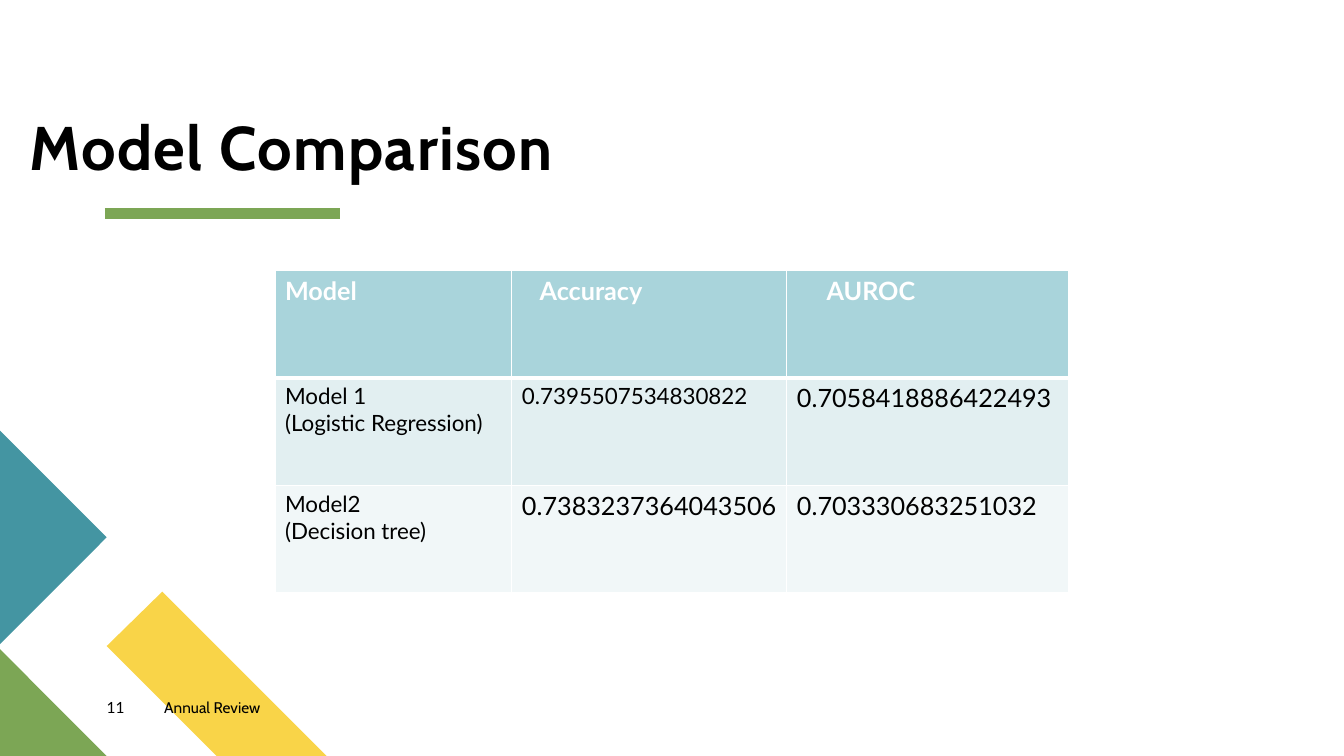
"""Build the Model Comparison slide with its results table."""
import lxml.etree
import pptx
import pptx.dml.color
import pptx.enum.shapes
import pptx.enum.text
import pptx.oxml.ns
import pptx.util

Cm = pptx.util.Cm
Pt = pptx.util.Pt
qn = pptx.oxml.ns.qn


def color(hex_string):
    return pptx.dml.color.RGBColor.from_string(hex_string)


def format_text(text_frame, size, font_name, font_color, bold=False):
    for paragraph in text_frame.paragraphs:
        for run in paragraph.runs:
            run.font.size = Pt(size)
            run.font.name = font_name
            run.font.bold = bold
            run.font.color.rgb = color(font_color)


presentation = pptx.Presentation()
presentation.slide_width = Cm(33.87)
presentation.slide_height = Cm(19.05)
slide = presentation.slides.add_slide(presentation.slide_layouts[6])

corner_shapes = [
    ("F9D448", [(8.23, 19.05), (5.46, 19.05), (2.69, 16.28), (4.09, 14.91)]),
    ("7CA655", [(2.69, 19.05), (0, 19.05), (0, 16.36)]),
    ("4495A2", [(0, 10.85), (2.69, 13.54), (0, 16.23)]),
]
for fill_color, points in corner_shapes:
    corners = [(Cm(x), Cm(y)) for x, y in points]
    builder = slide.shapes.build_freeform(*corners[0])
    builder.add_line_segments(corners[1:], close=True)
    shape = builder.convert_to_shape()
    shape.shadow.inherit = False
    shape.fill.solid()
    shape.fill.fore_color.rgb = color(fill_color)
    shape.line.fill.background()

underline = slide.shapes.add_connector(
    pptx.enum.shapes.MSO_CONNECTOR.STRAIGHT, Cm(2.64), Cm(5.38), Cm(8.58), Cm(5.38))
underline.line.color.rgb = color("7CA655")
underline.line.width = Pt(8)
lxml.etree.SubElement(underline._element.spPr, qn("a:effectLst"))

labels = [
    ("Model Comparison", 0.74, 2.92, 13.72, 1.7, 44, "Cabin"),
    ("Annual Review", 4.14, 17.58, 4.17, 0.69, 11, "Cabin"),
    ("11", 2.69, 17.58, 1.45, 0.69, 11, "Lato"),
]
for text, left, top, width, height, size, font_name in labels:
    text_box = slide.shapes.add_textbox(Cm(left), Cm(top), Cm(width), Cm(height))
    text_frame = text_box.text_frame
    text_frame.word_wrap = True
    text_frame.margin_left = text_frame.margin_right = 0
    text_frame.margin_top = text_frame.margin_bottom = 0
    text_frame.text = text
    is_title = size == 44
    format_text(text_frame, size, font_name, "000000", is_title)
    if is_title:
        text_frame.vertical_anchor = pptx.enum.text.MSO_ANCHOR.BOTTOM
        paragraph = text_frame.paragraphs[0]
        paragraph.line_spacing = 0.9
        paragraph.runs[0].font._element.set("spc", "100")

table_rows = [
    ("A9D4DB", "FFFFFF", [("Model", 18), ("Accuracy", 18), ("AUROC", 18)]),
    ("E2EFF1", "000000", [("Model 1\n(Logistic Regression)", 16),
                          ("0.7395507534830822", 16), ("0.7058418886422493", 18)]),
    ("F1F7F8", "000000", [("Model2\n(Decision tree)", 16),
                          ("0.7383237364043506", 18), ("0.703330683251032", 18)]),
]
column_widths = [5.97, 6.93, 7.11]
row_height = 2.71
table = slide.shapes.add_table(
    len(table_rows), len(column_widths), Cm(6.93), Cm(6.81),
    Cm(sum(column_widths)), Cm(row_height * len(table_rows))).table
for column, width in zip(table.columns, column_widths):
    column.width = Cm(width)

for row_index, (fill_color, font_color, entries) in enumerate(table_rows):
    table.rows[row_index].height = Cm(row_height)
    is_header = row_index == 0
    border_widths = {"L": 1, "R": 1, "T": 3 if row_index == 1 else 1, "B": 3 if is_header else 1}
    for column_index, (text, size) in enumerate(entries):
        cell = table.cell(row_index, column_index)
        cell.text_frame.text = text
        format_text(cell.text_frame, size, "Lato", font_color, is_header)
        properties = cell._tc.get_or_add_tcPr()
        for side, width in border_widths.items():
            border = lxml.etree.SubElement(properties, qn("a:ln" + side), w=str(Pt(width)))
            border_fill = lxml.etree.SubElement(border, qn("a:solidFill"))
            lxml.etree.SubElement(border_fill, qn("a:srgbClr"), val="FFFFFF")
        cell.fill.solid()
        cell.fill.fore_color.rgb = color(fill_color)

table.cell(0, 1).margin_left = Cm(0.7)
table.cell(0, 2).margin_left = Cm(1)

presentation.save("out.pptx")
